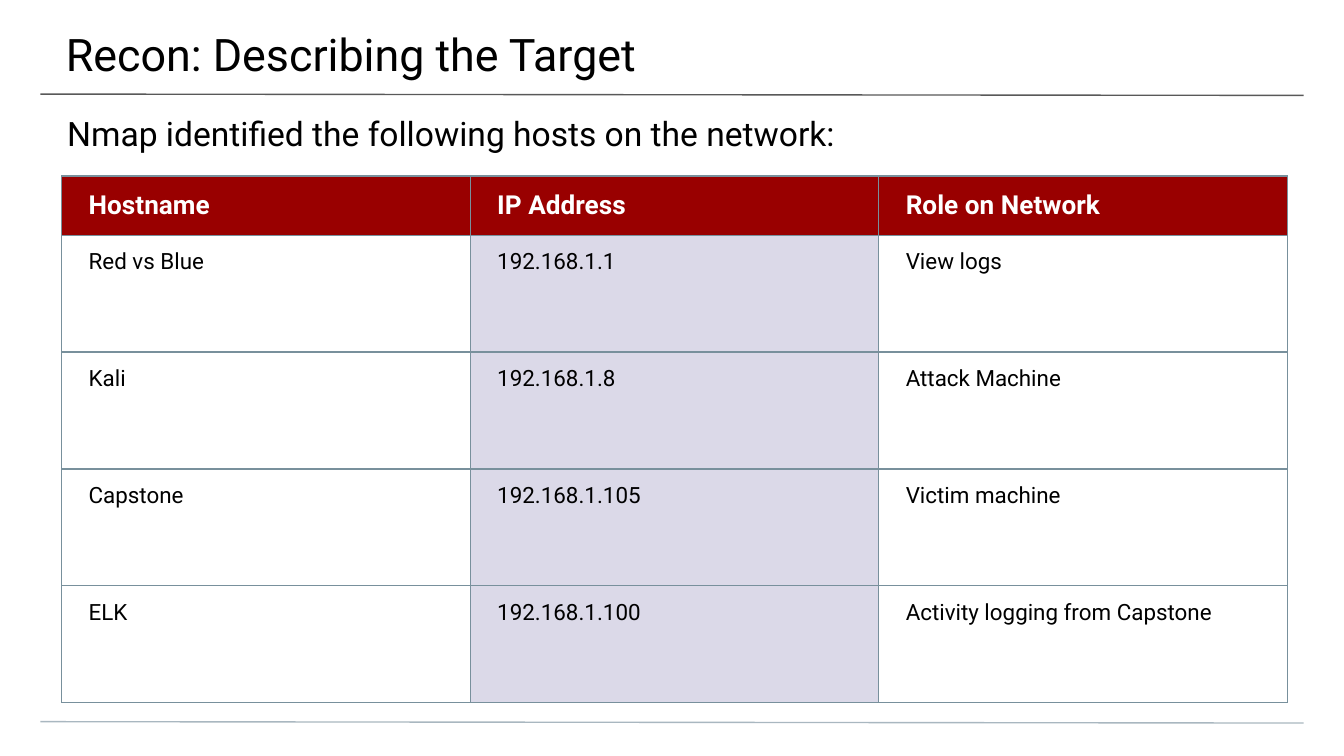
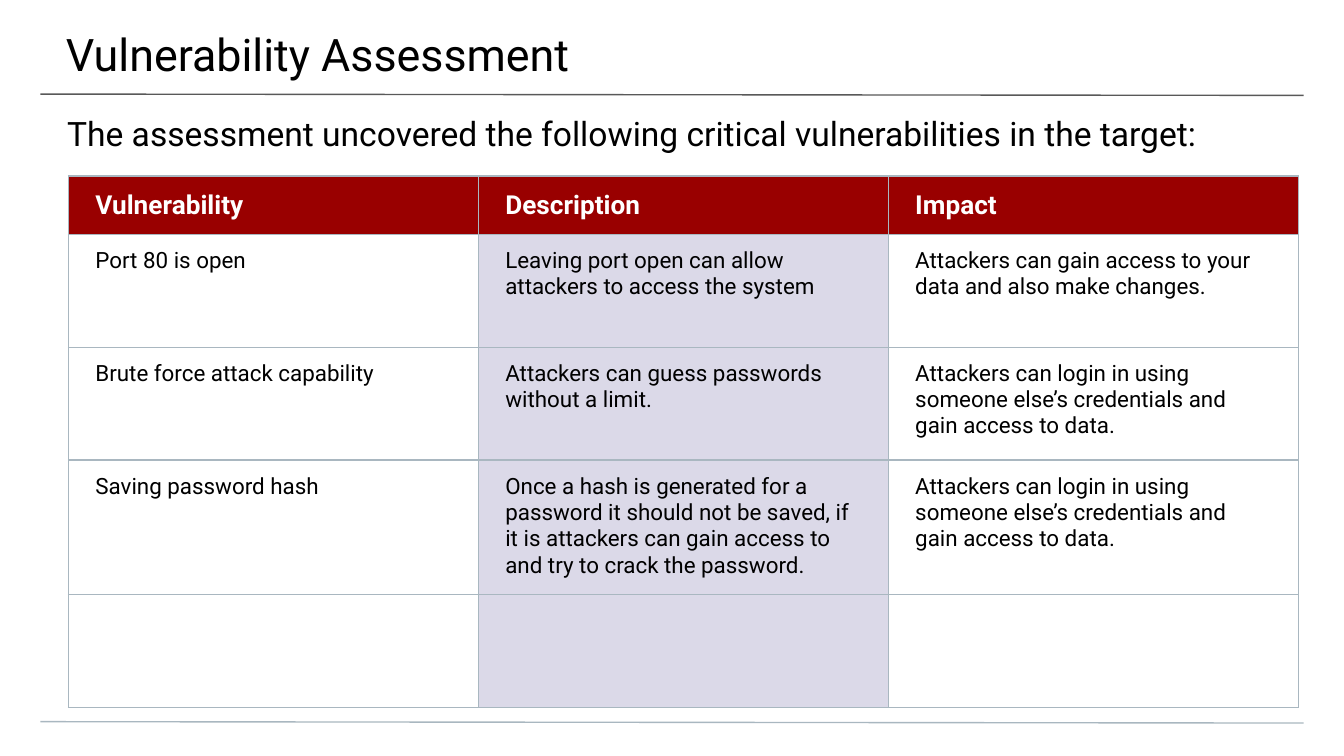
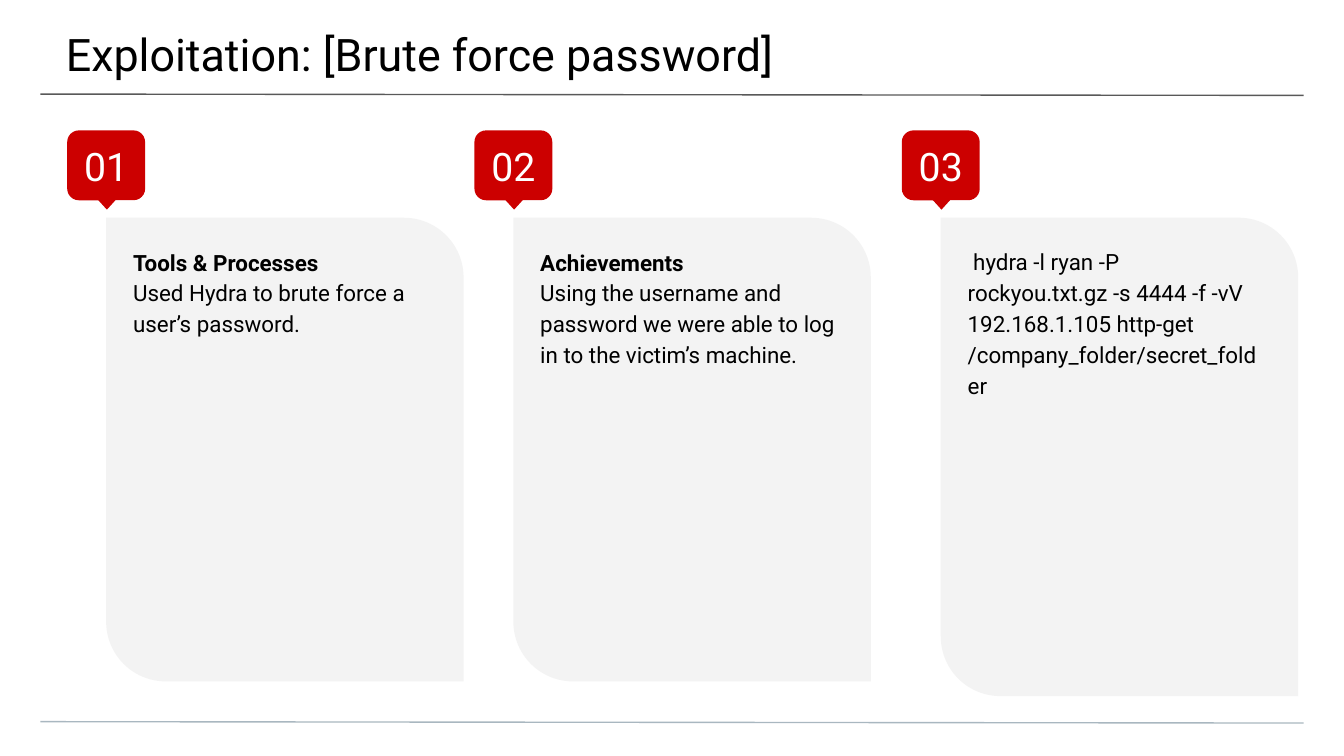
from dataclasses import dataclass

from lxml.etree import SubElement
from pptx import Presentation
from pptx.dml.color import RGBColor
from pptx.enum.shapes import MSO_CONNECTOR as Connector
from pptx.enum.shapes import MSO_SHAPE as Shape
from pptx.enum.text import MSO_ANCHOR as Anchor
from pptx.enum.text import PP_ALIGN as Align
from pptx.oxml.ns import qn
from pptx.util import Inches, Pt


@dataclass(frozen=True)
class Theme:
    font: str = "Roboto"
    ink: str = "000000"
    white: str = "FFFFFF"
    header: str = "990000"
    badge: str = "CC0000"
    card: str = "F3F3F3"
    highlight: str = "DBD9E8"
    title_rule: str = "595959"
    pale_rule: str = "A9B7C0"
    slate_rule: str = "78909C"
    rule_width: float = 0.75
    title_size: int = 24
    badge_size: int = 21
    subtitle_size: int = 18
    header_size: int = 14
    body_size: int = 12


THEME = Theme()


def color(value):
    return RGBColor.from_string(value)


def set_margins(target, left, top, right, bottom):
    target.margin_left, target.margin_top = Inches(left), Inches(top)
    target.margin_right, target.margin_bottom = Inches(right), Inches(bottom)


def write_paragraph(paragraph, text, size=THEME.body_size, ink=THEME.ink,
                    bold=False, align=Align.LEFT, spacing=None):
    paragraph.alignment = align
    if spacing:
        paragraph.line_spacing = spacing
    run = paragraph.add_run()
    run.text = text
    run.font.name = THEME.font
    run.font.size = Pt(size)
    run.font.bold = bold
    run.font.color.rgb = color(ink)


def add_text_box(slide, box, margins):
    frame = slide.shapes.add_textbox(*map(Inches, box)).text_frame
    frame.word_wrap = True
    frame.vertical_anchor = Anchor.TOP
    set_margins(frame, *margins)
    return frame


def add_filled_shape(shapes, kind, box, fill):
    shape = shapes.add_shape(kind, *map(Inches, box))
    shape.shadow.inherit = False
    shape.fill.solid()
    shape.fill.fore_color.rgb = color(fill)
    shape.line.fill.background()
    return shape


# Shared frame: rules and title
def add_rule(slide, top, ink):
    rule = slide.shapes.add_connector(
        Connector.STRAIGHT, Inches(0.3), Inches(top), Inches(9.7), Inches(top + 0.01))
    rule.line.color.rgb = color(ink)
    rule.line.width = Pt(THEME.rule_width)
    SubElement(rule._element.spPr, qn("a:effectLst"))


def add_titled_slide(presentation, title):
    slide = presentation.slides.add_slide(presentation.slide_layouts[6])
    add_rule(slide, 0.7, THEME.title_rule)
    add_rule(slide, 5.37, THEME.pale_rule)
    frame = add_text_box(slide, (-0.01, 0, 10.03, 0.58), (0.5, 0.2, 0.3, 0.1))
    write_paragraph(frame.paragraphs[0], title, size=THEME.title_size)
    return slide


# Tables
def set_cell_borders(cell, ink):
    properties = cell._tc.get_or_add_tcPr()
    for side in ("a:lnL", "a:lnR", "a:lnT", "a:lnB"):
        line = SubElement(properties, qn(side), w=str(Pt(THEME.rule_width)))
        fill = SubElement(line, qn("a:solidFill"))
        SubElement(fill, qn("a:srgbClr"), val=ink)


def fill_cell(cell, text, is_header, is_highlighted, border):
    set_margins(cell, 0.2, 0.1, 0.2, 0.1)
    cell.vertical_anchor = Anchor.MIDDLE if is_header else Anchor.TOP
    set_cell_borders(cell, border)
    if is_header or is_highlighted:
        cell.fill.solid()
        cell.fill.fore_color.rgb = color(THEME.header if is_header else THEME.highlight)
    else:
        cell.fill.background()
    if text:
        write_paragraph(cell.text_frame.paragraphs[0], text, bold=is_header,
                        size=THEME.header_size if is_header else THEME.body_size,
                        ink=THEME.white if is_header else THEME.ink)


def add_grid(slide, left, top, column_width, header_height, row_height, border, rows):
    columns = len(rows[0])
    height = header_height + row_height * (len(rows) - 1)
    table = slide.shapes.add_table(
        len(rows), columns, Inches(left), Inches(top),
        Inches(column_width * columns), Inches(height)).table
    table.first_row = table.horz_banding = False
    for column in table.columns:
        column.width = Inches(column_width)
    for row_index, texts in enumerate(rows):
        table.rows[row_index].height = Inches(row_height if row_index else header_height)
        for column_index, text in enumerate(texts):
            fill_cell(table.cell(row_index, column_index), text,
                      row_index == 0, column_index == 1, border)


def add_table_slide(presentation, title, subtitle, **grid):
    slide = add_titled_slide(presentation, title)
    frame = add_text_box(slide, (0, 0.74, 10, 0.4), (0.5, 0.1, 0.5, 0))
    write_paragraph(frame.paragraphs[0], subtitle, size=THEME.subtitle_size)
    add_grid(slide, top=1.31, **grid)


# Numbered cards
def add_badge(slide, left, top, number):
    shapes = slide.shapes.add_group_shape().shapes
    badge = add_filled_shape(shapes, Shape.ROUNDED_RECTANGLE,
                             (left, top, 0.58, 0.52), THEME.badge)
    frame = badge.text_frame
    set_margins(frame, 0.1, 0.1, 0.1, 0.1)
    frame.vertical_anchor = Anchor.MIDDLE
    write_paragraph(frame.paragraphs[0], f"{number:02}", size=THEME.badge_size,
                    ink=THEME.white, align=Align.CENTER)
    pointer = add_filled_shape(shapes, Shape.FLOWCHART_EXTRACT,
                               (left + 0.15, top + 0.43, 0.29, 0.16), THEME.badge)
    pointer.rotation = 180


def add_card(slide, number, left, height, text_width, heading, body):
    top = 1.62
    card = add_filled_shape(slide.shapes, Shape.ROUND_2_DIAG_RECTANGLE,
                            (left, top, 2.66, height), THEME.card)
    card.adjustments[0], card.adjustments[1] = 0, 0.167
    frame = add_text_box(slide, (left, top, text_width, height), (0.2,) * 4)
    paragraph = frame.paragraphs[0]
    if heading:
        write_paragraph(paragraph, heading, bold=True, spacing=1.15)
        paragraph = frame.add_paragraph()
    write_paragraph(paragraph, body, spacing=1.15)
    add_badge(slide, left - 0.29, top - 0.65, number)


def add_cards_slide(presentation, title, cards):
    slide = add_titled_slide(presentation, title)
    for number, card in enumerate(cards, start=1):
        add_card(slide, number, *card)


HOSTS = [
    ("Hostname", "IP Address", "Role on Network"),
    ("Red vs Blue", "192.168.1.1", "View logs"),
    ("Kali", "192.168.1.8", "Attack Machine"),
    ("Capstone", "192.168.1.105", "Victim machine"),
    ("ELK", "192.168.1.100", "Activity logging from Capstone"),
]

LOGIN_IMPACT = "Attackers can login in using someone else’s credentials and gain access to data."
VULNERABILITIES = [
    ("Vulnerability", "Description", "Impact"),
    ("Port 80 is open",
     "Leaving port open can allow attackers to access the system",
     "Attackers can gain access to your data and also make changes."),
    ("Brute force attack capability",
     "Attackers can guess passwords without a limit.", LOGIN_IMPACT),
    ("Saving password hash",
     "Once a hash is generated for a password it should not be saved, if it is "
     "attackers can gain access to and try to crack the password.", LOGIN_IMPACT),
    ("", "", ""),
]

# Left, height, text width, heading, body
EXPLOIT_CARDS = [
    (0.79, 3.45, 2.59, "Tools & Processes",
     "Used Hydra to brute force a user’s password."),
    (3.82, 3.45, 2.66, "Achievements",
     "Using the username and password we were able to log in to the victim’s machine."),
    (7, 3.56, 2.59, None,
     " hydra -l ryan -P rockyou.txt.gz -s 4444 -f -vV 192.168.1.105 "
     "http-get /company_folder/secret_folder"),
]


def main():
    presentation = Presentation()
    # Widescreen, 16 to 9
    presentation.slide_width = Inches(10)
    presentation.slide_height = Inches(10 * 9 / 16)
    add_table_slide(presentation, "Recon: Describing the Target",
                    "Nmap identified the following hosts on the network:",
                    left=0.46, column_width=3.04, header_height=0.44,
                    row_height=0.87, border=THEME.slate_rule, rows=HOSTS)
    add_table_slide(presentation, "Vulnerability Assessment",
                    "The assessment uncovered the following critical vulnerabilities in the target:",
                    left=0.51, column_width=3.05, header_height=0.43,
                    row_height=0.84, border=THEME.pale_rule, rows=VULNERABILITIES)
    add_cards_slide(presentation, "Exploitation: [Brute force password]", EXPLOIT_CARDS)
    presentation.save("out.pptx")


if __name__ == "__main__":
    main()
